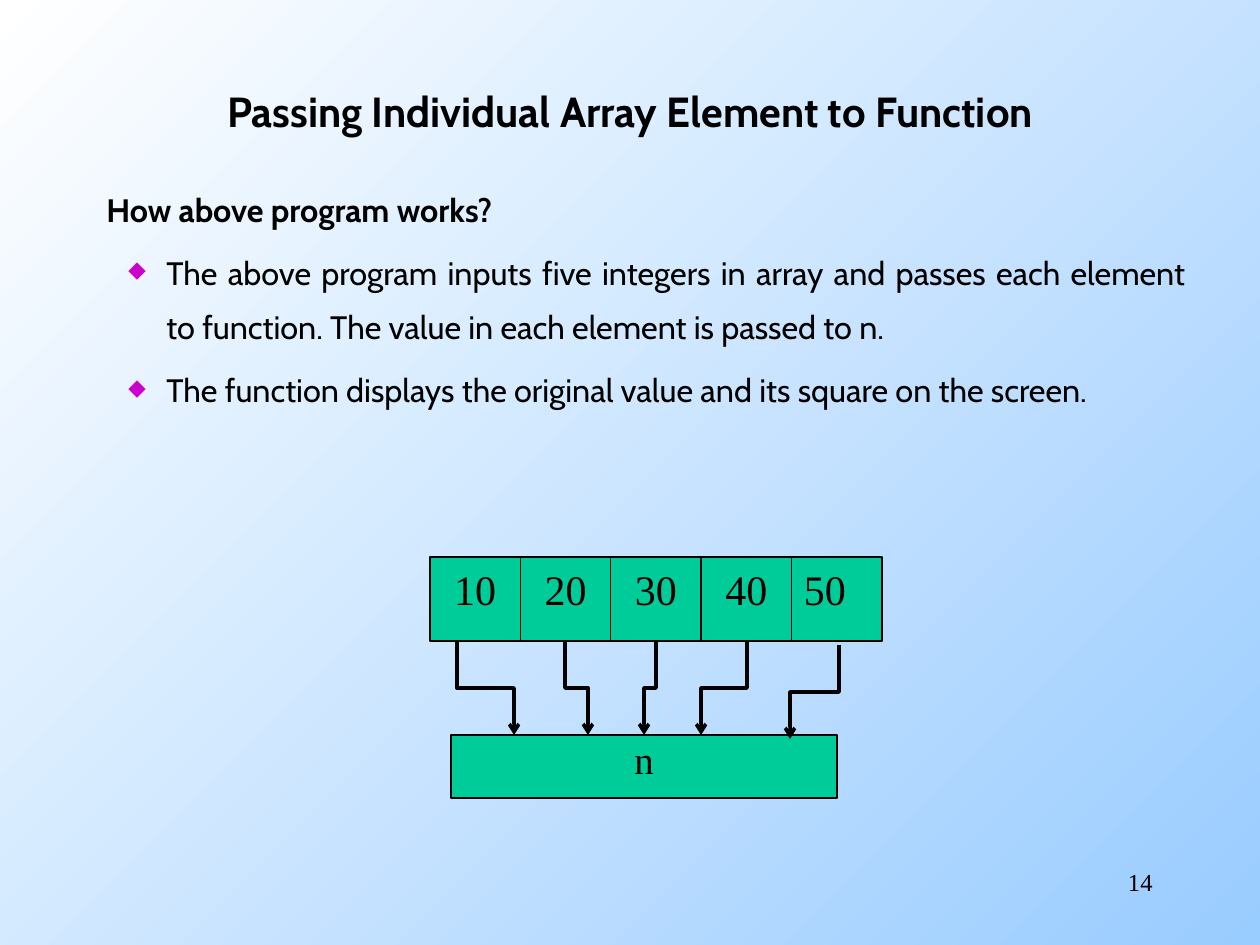
from collections import namedtuple
from dataclasses import dataclass

from lxml.etree import SubElement
from pptx import Presentation
from pptx.dml.color import RGBColor as Rgb
from pptx.enum.shapes import MSO_CONNECTOR as Connector, MSO_SHAPE as Shape
from pptx.enum.text import MSO_ANCHOR as Anchor, MSO_AUTO_SIZE as AutoSize, PP_ALIGN as Align
from pptx.oxml.ns import qn
from pptx.util import Emu, Pt

PX_PER_INCH = 126
Box = namedtuple("Box", "left top width height")


@dataclass(frozen=True)
class Theme:
    ink: str = "000000"
    cell: str = "00CC99"
    bullet: str = "CC00CC"
    back_start: str = "FFFFFF"
    back_end: str = "99CCFF"
    sans: str = "Cabin"
    serif: str = "Times New Roman"
    title: float = 24
    body: float = 18.5
    value: float = 24
    parameter: float = 22.2
    number: float = 14


THEME = Theme()


def px(length):
    return Emu(round(length * 914400 / PX_PER_INCH))


def place(shape, box):
    shape.left, shape.top, shape.width, shape.height = map(px, box)


def add_bullet(para, indent, hang):
    props = para._p.get_or_add_pPr()
    props.set("marL", str(px(indent)))
    props.set("indent", str(-px(hang)))
    color = SubElement(props, qn("a:buClr"))
    SubElement(color, qn("a:srgbClr"), val=THEME.bullet)
    SubElement(props, qn("a:buSzPct"), val="70000")
    SubElement(props, qn("a:buChar"), char="◆")


def write(frame, text, *, size, font=THEME.serif, bold=False, align=Align.CENTER,
          anchor=Anchor.TOP, spacing=None, before=None, bullet=False, append=False):
    """Write one paragraph, as the first of the frame or after the others."""
    frame.word_wrap = True
    frame.auto_size = AutoSize.NONE
    frame.vertical_anchor = anchor
    para = frame.add_paragraph() if append else frame.paragraphs[0]
    para.alignment = align
    if spacing:
        para.line_spacing = spacing
    if before:
        para.space_before = Pt(before)
    if bullet:
        add_bullet(para, indent=60, hang=38)
    span = para.add_run()
    span.text = text
    span.font.name, span.font.size, span.font.bold = font, Pt(size), bold
    span.font.color.rgb = Rgb.from_string(THEME.ink)


def paint_background(page):
    fill = page.background.fill
    fill.gradient()
    fill.gradient_angle = 315  # counted anticlockwise: runs to the lower right
    for stop, color in zip(fill.gradient_stops, (THEME.back_start, THEME.back_end)):
        stop.color.rgb = Rgb.from_string(color)


def add_title(page, box, text):
    title = page.shapes.title
    place(title, box)
    write(title.text_frame, text, size=THEME.title, font=THEME.sans, bold=True,
          anchor=Anchor.MIDDLE)


def add_body(page, box, heading, points):
    frame = page.shapes.add_textbox(*map(px, box)).text_frame
    style = dict(size=THEME.body, font=THEME.sans, align=Align.JUSTIFY, spacing=1.4)
    write(frame, heading, bold=True, **style)
    for point in points:
        write(frame, point, before=5, bullet=True, append=True, **style)


def add_cell(page, box, text, **style):
    cell = page.shapes.add_shape(Shape.RECTANGLE, *map(px, box))
    cell.shadow.inherit = False
    cell.fill.solid()
    cell.fill.fore_color.rgb = Rgb.from_string(THEME.cell)
    cell.line.color.rgb = Rgb.from_string(THEME.ink)
    cell.line.width = Pt(0.75)
    write(cell.text_frame, text, **style)


def add_elbow_arrow(page, start_x, end_x, top, drop):
    """Draw a down-across-down arrow: a level elbow given a quarter turn."""
    middle_x, middle_y = (start_x + end_x) / 2, top + drop / 2
    across = abs(end_x - start_x)
    left, right = middle_x - drop / 2, middle_x + drop / 2
    to_right = end_x > start_x
    begin, end = (right, left) if to_right else (left, right)
    arrow = page.shapes.add_connector(
        Connector.ELBOW, px(begin), px(middle_y - across / 2),
        px(end), px(middle_y + across / 2))
    props = arrow._element.spPr
    props.find(qn("a:xfrm")).set("rot", str((270 if to_right else 90) * 60000))
    arrow.line.color.rgb = Rgb.from_string(THEME.ink)
    arrow.line.width = Pt(2)
    SubElement(arrow.line._get_or_add_ln(), qn("a:tailEnd"), type="arrow")
    SubElement(props, qn("a:effectLst"))


def add_diagram(page, box, values, parameter):
    # Array elements
    row_height = 84
    cell_width = box.width / len(values)
    for index, value in enumerate(values):
        last = index == len(values) - 1
        add_cell(page, Box(box.left + index * cell_width, box.top, cell_width, row_height),
                 value, size=THEME.value, align=Align.LEFT if last else Align.CENTER)

    # Function parameter
    target_height = 63
    target_top = box.top + box.height - target_height
    add_cell(page, Box(box.left + 21, target_top, 386, target_height), parameter,
             size=THEME.parameter, spacing=0.9)

    # Arrows: start and end across the box, and shift downwards
    drop = box.height - row_height - target_height
    routes = [(27, 84, 0), (135, 158, 0), (226, 214, 0), (317, 271, 0), (409, 360, 4)]
    for start, end, shift in routes:
        add_elbow_arrow(page, box.left + start, box.left + end,
                        box.top + row_height + shift, drop)


def add_page_number(page, box, text):
    frame = page.shapes.add_textbox(*map(px, box)).text_frame
    write(frame, text, size=THEME.number, align=Align.RIGHT)


def main():
    deck = Presentation()
    deck.slide_width, deck.slide_height = px(1260), px(945)
    page = deck.slides.add_slide(deck.slide_layouts.get_by_name("Title Only"))
    paint_background(page)
    add_page_number(page, Box(903, 861, 262, 63), "14")
    add_title(page, Box(94, 32, 1072, 158), "Passing Individual Array Element to Function")
    add_body(page, Box(94, 168, 1103, 336), "How above program works?", [
        "The above program inputs five integers in array and passes each element "
        "to function. The value in each element is passed to n.",
        "The function displays the original value and its square on the screen.",
    ])
    add_diagram(page, Box(430, 557, 452, 241), ["10", "20", "30", "40", "50"], "n")
    deck.save("out.pptx")


if __name__ == "__main__":
    main()
